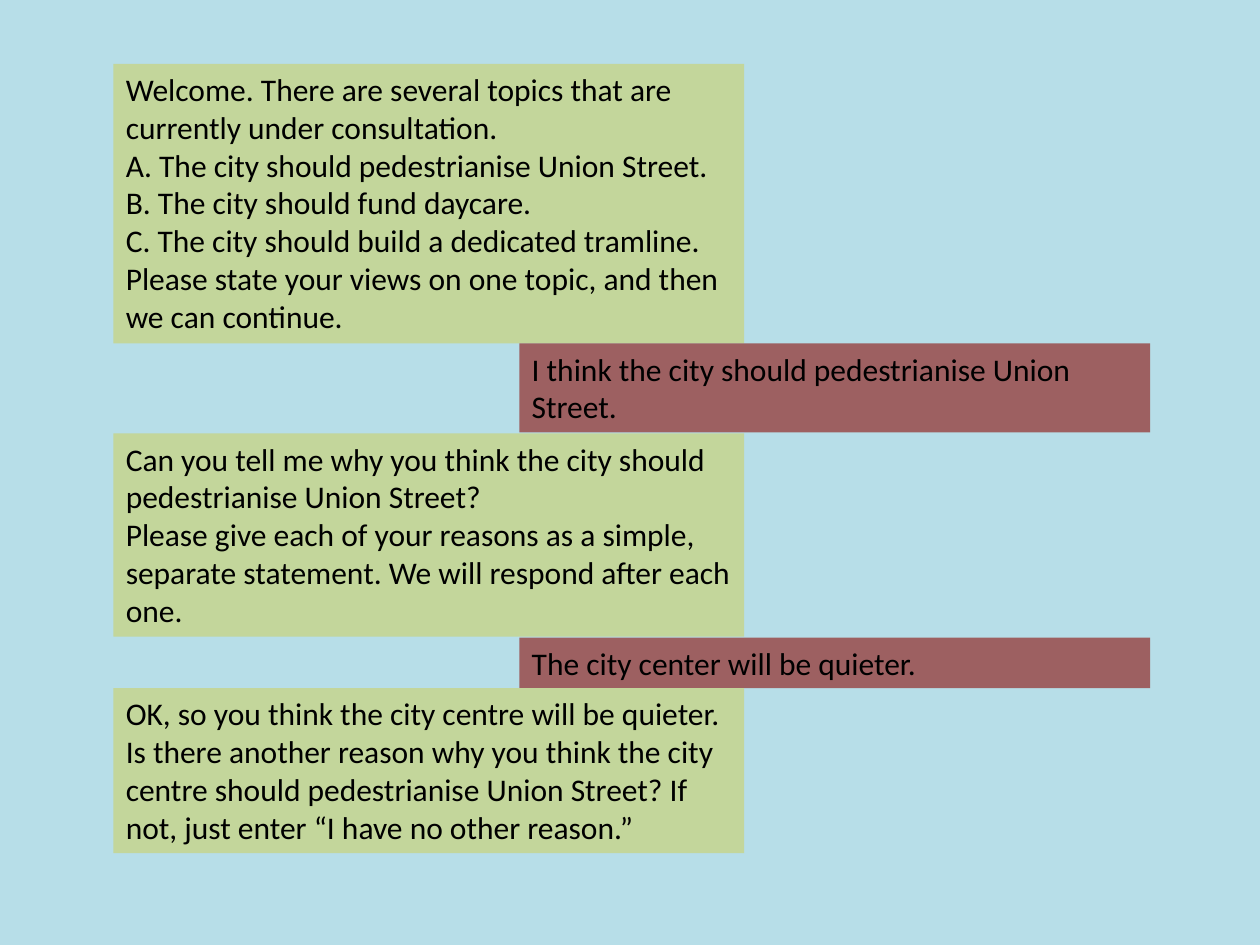
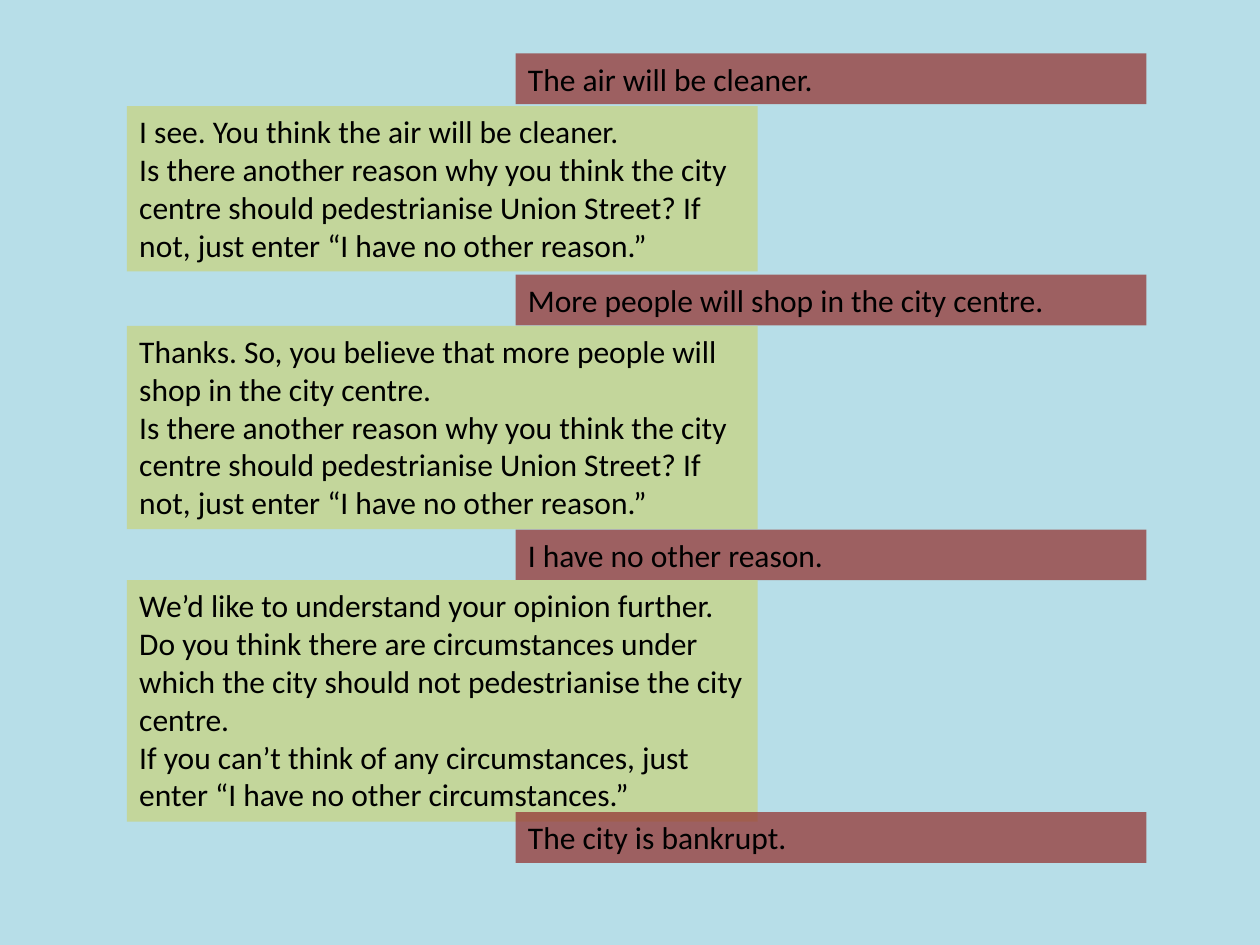
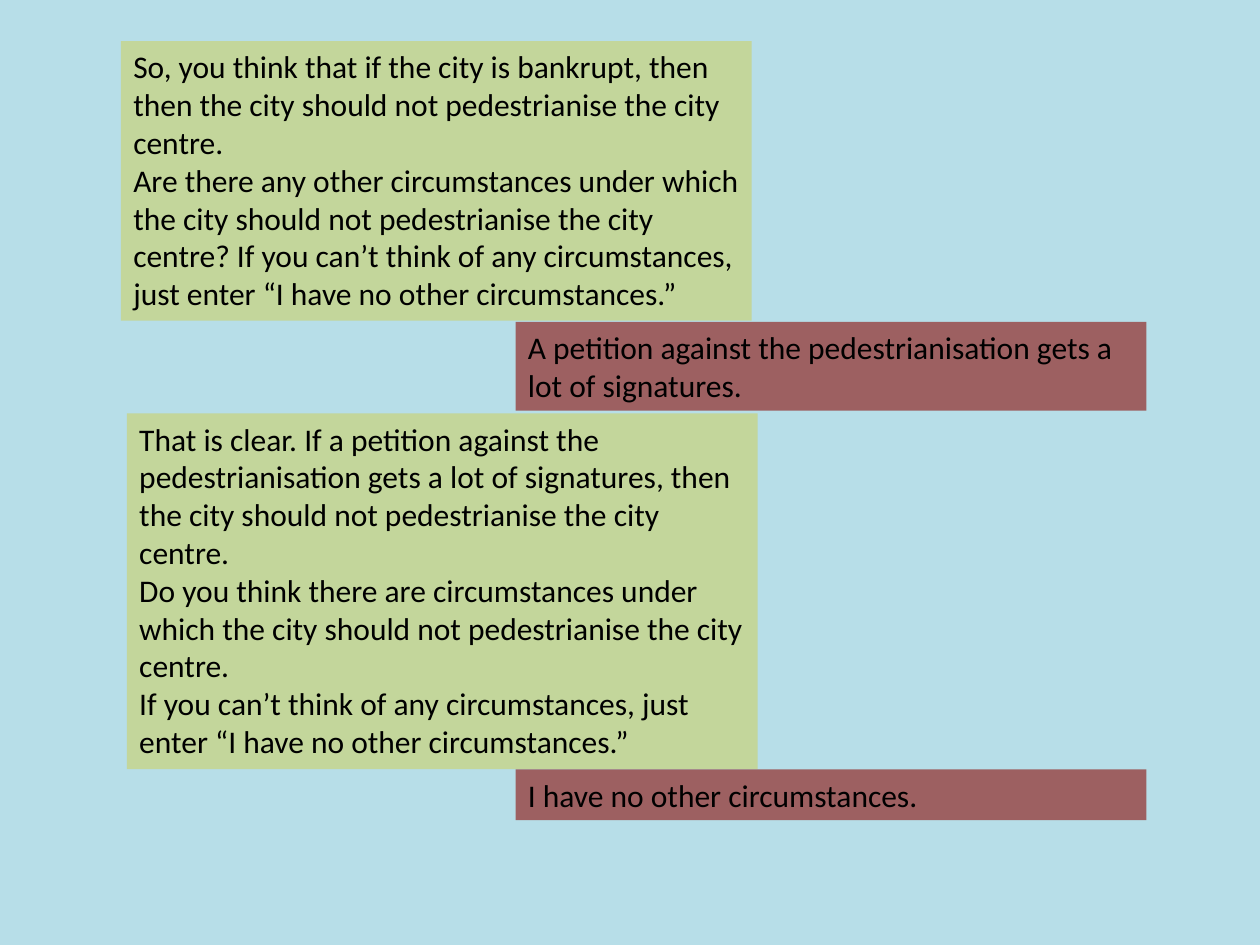
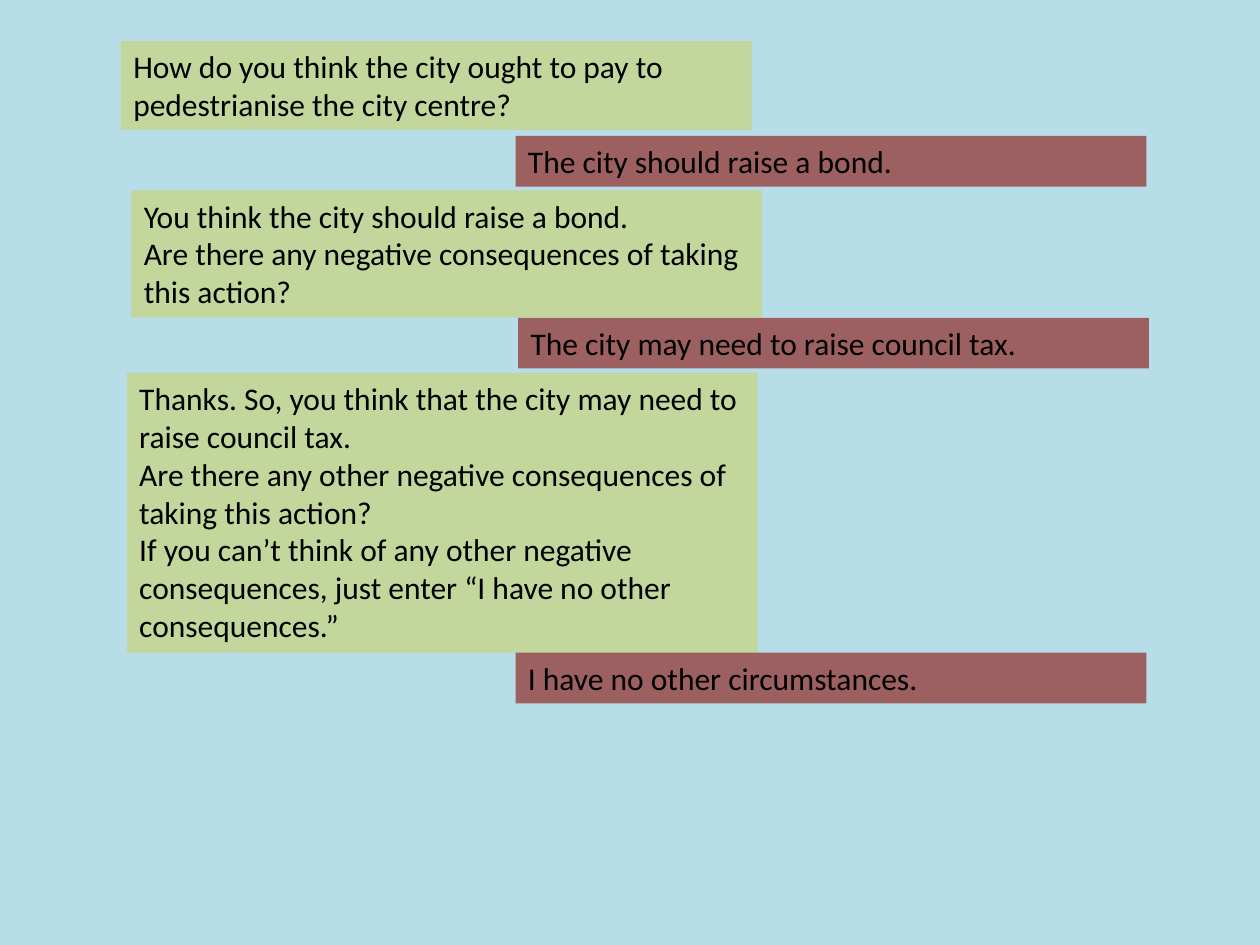
from pptx import Presentation
from pptx.dml.color import RGBColor
from pptx.enum.text import MSO_AUTO_SIZE as Fit
from pptx.oxml.ns import qn
from pptx.util import Pt
from lxml.etree import SubElement as Sub

SKY = RGBColor(0xB7, 0xDE, 0xE8)
GREEN = RGBColor(0xC3, 0xD6, 0x9B)
RED = RGBColor(0x95, 0x37, 0x35)
BLACK = RGBColor(0, 0, 0)

# Phrases the bot repeats
MORE = ("Is there another reason why you think the city centre should pedestrianise "
        "Union Street? If not, just enter “I have no other reason.”")
WHEN = ("Do you think there are circumstances under which the city should not "
        "pedestrianise the city centre.")
STOP = "If you can’t think of any circumstances, just enter “I have no other circumstances.”"
DONE = "I have no other circumstances."


class Chat:
    """Holds the style and the current slide."""
    font, size = "Calibri", Pt(18)
    width, line, pad = 360.5, 21.8, 7.2

    def __init__(self):
        self.deck = Presentation()
        self.deck.slide_width, self.deck.slide_height = Pt(720), Pt(540)
        self.page = None

    def start(self):
        self.page = self.deck.slides.add_slide(self.deck.slide_layouts[6])
        fill = self.page.background.fill
        fill.solid()
        fill.fore_color.rgb = SKY

    def box(self, left, top, rows, color, texts):
        """Adds a bubble as high as its rows of text."""
        high = self.pad + self.line * rows
        box = self.page.shapes.add_textbox(Pt(left), Pt(top), Pt(self.width), Pt(high))
        box.fill.solid()
        box.fill.fore_color.rgb = color
        frame = box.text_frame
        frame.word_wrap = True
        frame.auto_size = Fit.SHAPE_TO_FIT_TEXT
        frame.text = "\n".join(texts)
        for para in frame.paragraphs:
            font = para.font
            font.name, font.size = self.font, self.size
            font.color.rgb = BLACK
        return box

    def bot(self, left, top, rows, *texts):
        self.box(left, top, rows, GREEN, texts)

    def user(self, top, text, rows=1, left=294.6):
        box = self.box(left, top, rows, RED, [text])
        tint = box.fill._xPr.find(qn("a:solidFill"))[0]
        Sub(tint, qn("a:alpha")).set("val", "75000")


def main():
    chat = Chat()

    # Slide 1: topics and first reason
    chat.start()
    left, right = 64.8, 296.8
    chat.bot(left, 36.5, 7,
             "Welcome. There are several topics that are currently under consultation.",
             "A. The city should pedestrianise Union Street.",
             "B. The city should fund daycare.",
             "C. The city should build a dedicated tramline.",
             "Please state your views on one topic, and then we can continue.")
    chat.user(196.3, "I think the city should pedestrianise Union Street.", 2, right)
    chat.bot(left, 247.7, 5,
             "Can you tell me why you think the city should pedestrianise Union Street?",
             "Please give each of your reasons as a simple, separate statement. "
             "We will respond after each one.")
    chat.user(364.3, "The city center will be quieter.", 1, right)
    chat.bot(left, 393.2, 4, "OK, so you think the city centre will be quieter.", MORE)

    # Slide 2: more reasons
    chat.start()
    left = 72.5
    chat.user(30.5, "The air will be cleaner.")
    chat.bot(left, 60.7, 4, "I see. You think the air will be cleaner.", MORE)
    chat.user(156.9, "More people will shop in the city centre.")
    chat.bot(left, 186.2, 5,
             "Thanks. So, you believe that more people will shop in the city centre.", MORE)
    chat.user(302.6, "I have no other reason.")
    chat.bot(left, 331.6, 6, "We’d like to understand your opinion further.", WHEN, STOP)
    chat.user(464.1, "The city is bankrupt.")

    # Slide 3: circumstances
    chat.start()
    chat.bot(69.1, 23.5, 7,
             "So, you think that if the city is bankrupt, then then the city should not "
             "pedestrianise the city centre.",
             "Are there any other circumstances under which the city should not "
             "pedestrianise the city centre? " + STOP)
    chat.user(183.9, "A petition against the pedestrianisation gets a lot of signatures.", 2)
    chat.bot(left, 236.2, 9,
             "That is clear. If a petition against the pedestrianisation gets a lot of "
             "signatures, then the city should not pedestrianise the city centre.",
             WHEN, STOP)
    chat.user(439.7, DONE)

    # Slide 4: funding and consequences
    chat.start()
    chat.bot(69.1, 23.5, 2,
             "How do you think the city ought to pay to pedestrianise the city centre?")
    chat.user(77.7, "The city should raise a bond.")
    chat.bot(75.1, 108.8, 3, "You think the city should raise a bond.",
             "Are there any negative consequences of taking this action?")
    chat.user(181.6, "The city may need to raise council tax.", 1, 296.1)
    chat.bot(left, 213.1, 7,
             "Thanks. So, you think that the city may need to raise council tax.",
             "Are there any other negative consequences of taking this action?",
             "If you can’t think of any other negative consequences, just enter "
             "“I have no other consequences.”")
    chat.user(372.9, DONE)

    chat.deck.save("out.pptx")


if __name__ == "__main__":
    main()
